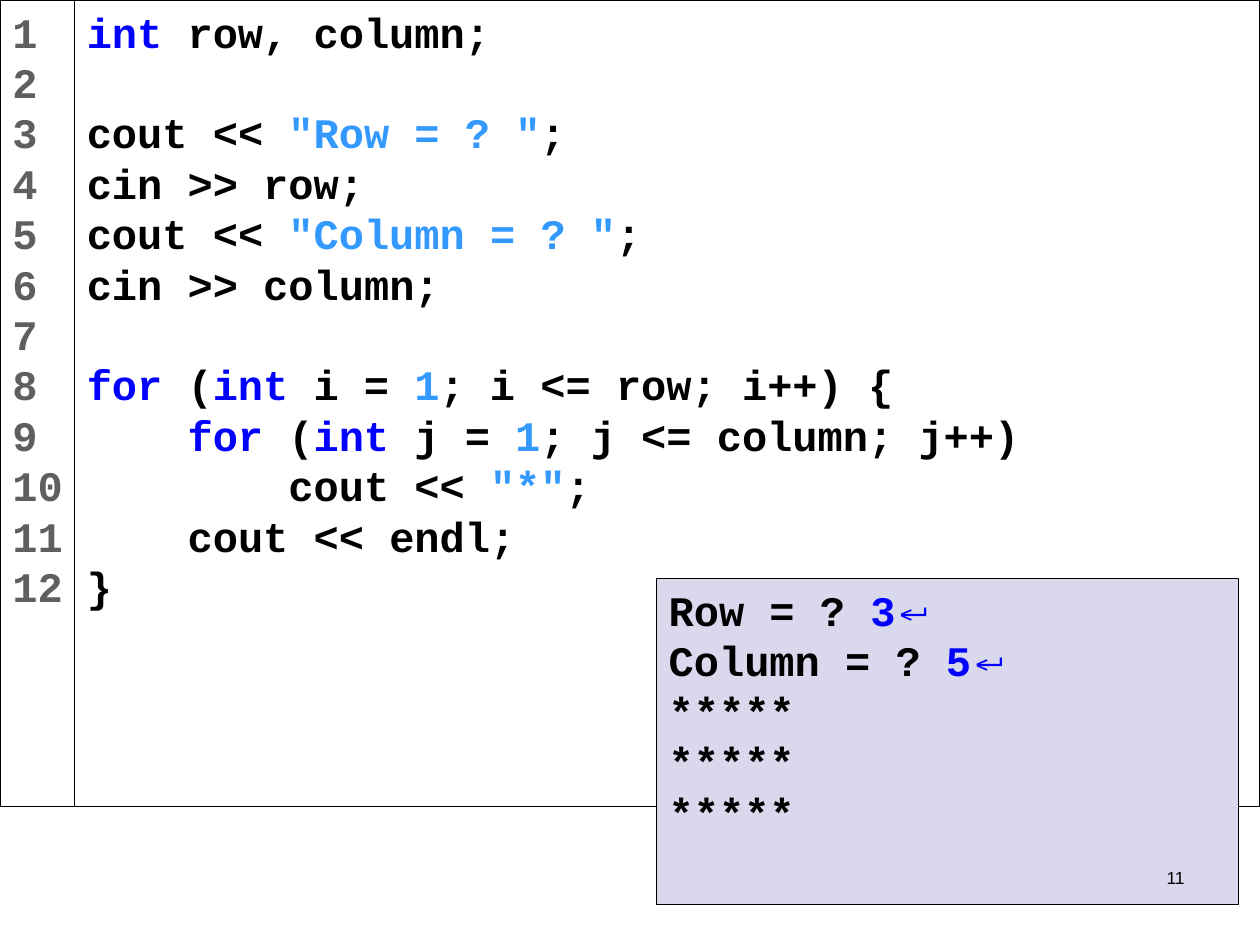
from dataclasses import dataclass
from typing import NamedTuple

from pptx import Presentation
from pptx.dml.color import RGBColor
from pptx.enum.shapes import MSO_SHAPE
from pptx.enum.text import MSO_ANCHOR, PP_ALIGN
from pptx.shapes.autoshape import Shape
from pptx.slide import Slide
from pptx.text.text import TextFrame
from pptx.util import Pt


@dataclass(frozen=True)
class Theme:
    black: RGBColor = RGBColor(0x00, 0x00, 0x00)
    white: RGBColor = RGBColor(0xFF, 0xFF, 0xFF)
    keyword: RGBColor = RGBColor(0x00, 0x00, 0xFF)
    literal: RGBColor = RGBColor(0x33, 0x99, 0xFF)
    line_number: RGBColor = RGBColor(0x5F, 0x5F, 0x5F)
    console: RGBColor = RGBColor(0xD9, 0xD8, 0xEC)
    code_font: str = "Courier New"
    plain_font: str = "Arial"
    code_size: float = 24
    return_key_size: float = 20
    page_number_size: float = 10
    line_pitch: float = 28.8
    outline: float = 0.75


THEME = Theme()


class Span(NamedTuple):
    text: str
    color: RGBColor = THEME.black
    font: str = THEME.code_font
    size: float = THEME.code_size
    bold: bool = True


class Frame(NamedTuple):
    left: float
    top: float
    width: float
    height: float


Line = list[Span]


def keyword(text: str) -> Span:
    return Span(text, THEME.keyword)


def literal(text: str) -> Span:
    return Span(text, THEME.literal)


RETURN_KEY = Span("↵", THEME.keyword, THEME.plain_font, THEME.return_key_size)

CODE: list[Line] = [
    [keyword("int"), Span(" row, column;")],
    [],
    [Span("cout << "), literal('"Row = ? "'), Span(";")],
    [Span("cin >> row;")],
    [Span("cout << "), literal('"Column = ? "'), Span(";")],
    [Span("cin >> column;")],
    [],
    [keyword("for"), Span(" ("), keyword("int"), Span(" i = "), literal("1"),
     Span("; i <= row; i++) {")],
    [Span("    "), keyword("for"), Span(" ("), keyword("int"), Span(" j = "),
     literal("1"), Span("; j <= column; j++)")],
    [Span("        cout << "), literal('"*"'), Span(";")],
    [Span("    cout << endl;")],
    [Span("}")],
]
LINE_NUMBERS: list[Line] = [
    [Span(str(number), THEME.line_number)] for number in range(1, len(CODE) + 1)
]
CONSOLE: list[Line] = [
    [Span("Row = ? "), keyword("3"), RETURN_KEY],
    [Span("Column = ? "), keyword("5"), RETURN_KEY],
    *[[Span("*" * 5)] for _ in range(3)],
]

GUTTER_WIDTH = 42.5
LISTING_HEIGHT = 460.8
SLIDE_WIDTH, SLIDE_HEIGHT = 720, 540


def write_lines(text_frame: TextFrame, lines: list[Line]) -> None:
    for index, line in enumerate(lines):
        para = text_frame.paragraphs[0] if index == 0 else text_frame.add_paragraph()
        para.alignment = PP_ALIGN.LEFT
        para.line_spacing = Pt(THEME.line_pitch)
        para.font.size = Pt(THEME.code_size)
        for span in line:
            run = para.add_run()
            run.text = span.text
            run.font.name = span.font
            run.font.size = Pt(span.size)
            run.font.bold = span.bold
            run.font.color.rgb = span.color


def add_panel(slide: Slide, frame: Frame, lines: list[Line], fill: RGBColor,
              right_inset: float = 7.2) -> Shape:
    """Draw an outlined box of code that starts at its top left."""
    box = slide.shapes.add_shape(MSO_SHAPE.RECTANGLE, *map(Pt, frame))
    box.shadow.inherit = False
    box.fill.solid()
    box.fill.fore_color.rgb = fill
    box.line.color.rgb = THEME.black
    box.line.width = Pt(THEME.outline)
    text_frame = box.text_frame
    text_frame.word_wrap = True
    text_frame.vertical_anchor = MSO_ANCHOR.TOP
    text_frame.margin_left, text_frame.margin_right = Pt(7.2), Pt(right_inset)
    text_frame.margin_top = text_frame.margin_bottom = Pt(3.6)
    write_lines(text_frame, lines)
    return box


def add_page_number(slide: Slide, frame: Frame, number: int) -> None:
    box = slide.shapes.add_textbox(*map(Pt, frame))
    box.text_frame.word_wrap = True
    box.text_frame.text = str(number)
    para = box.text_frame.paragraphs[0]
    para.alignment = PP_ALIGN.RIGHT
    font = para.runs[0].font
    font.name = THEME.plain_font
    font.size = Pt(THEME.page_number_size)
    font.color.rgb = THEME.black


def main() -> None:
    deck = Presentation()
    deck.slide_width, deck.slide_height = Pt(SLIDE_WIDTH), Pt(SLIDE_HEIGHT)
    slide = deck.slides.add_slide(deck.slide_layouts[6])
    add_panel(slide, Frame(GUTTER_WIDTH, 0, SLIDE_WIDTH - GUTTER_WIDTH, LISTING_HEIGHT),
              CODE, THEME.white)
    add_panel(slide, Frame(0, 0, GUTTER_WIDTH, LISTING_HEIGHT),
              LINE_NUMBERS, THEME.white, right_inset=0)
    add_panel(slide, Frame(375, 330.5, 332.6, 186.5), CONSOLE, THEME.console)
    add_page_number(slide, Frame(516, 492, 168, 36), 11)
    deck.save("out.pptx")


if __name__ == "__main__":
    main()
